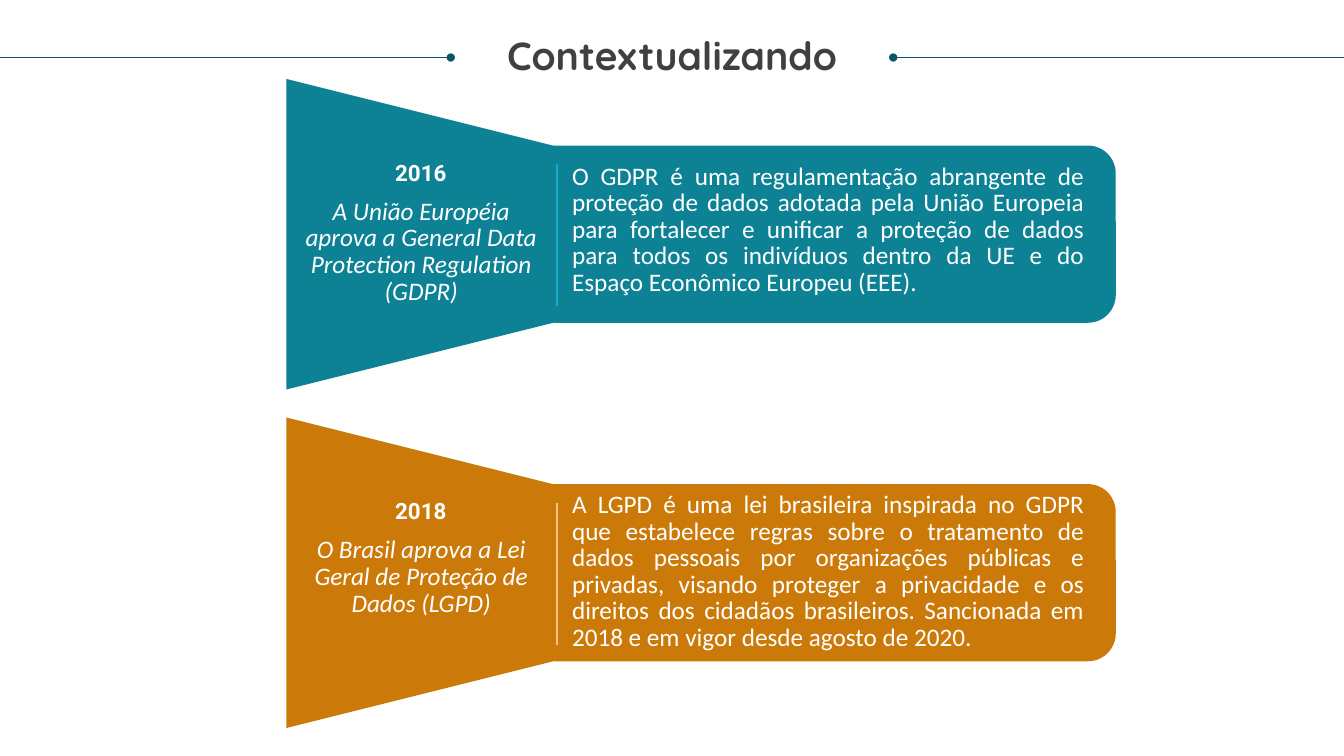
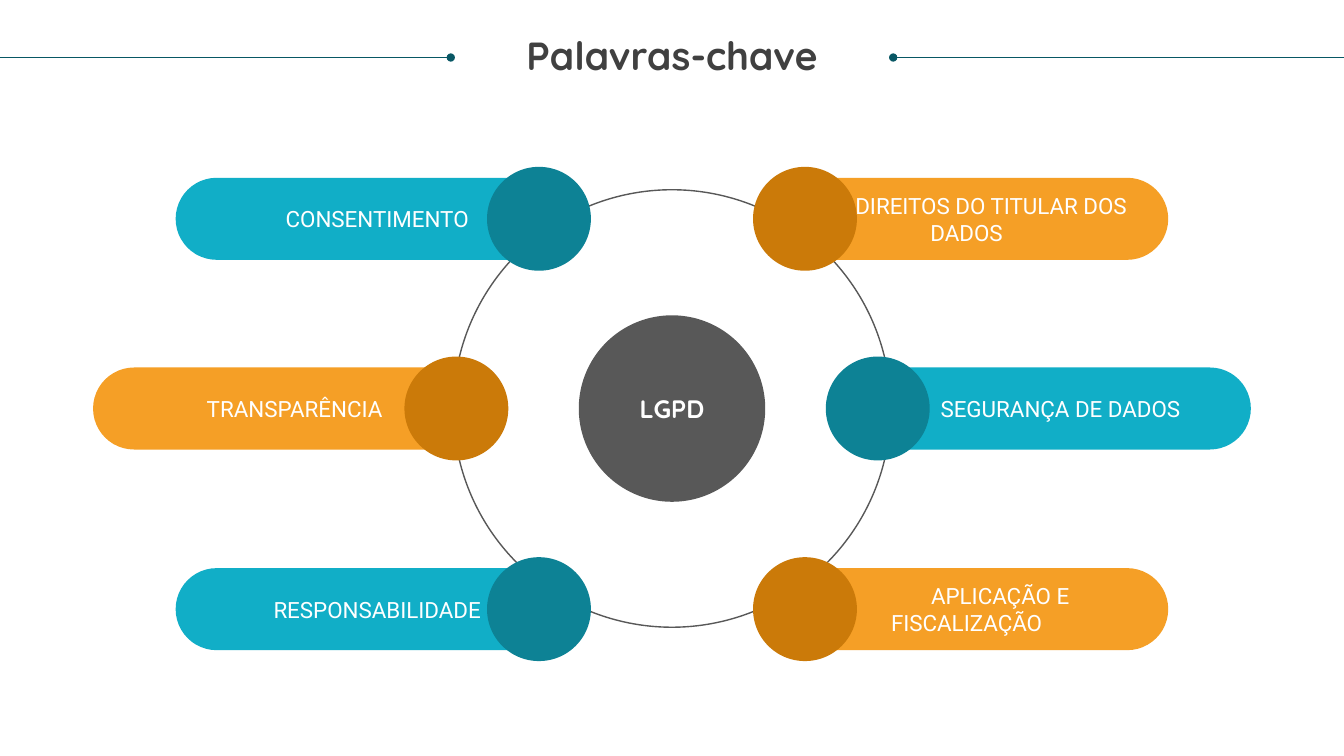
import pptx
import pptx.dml.color
import pptx.enum.shapes
import pptx.enum.text
import pptx.util
from lxml import etree
from pptx.oxml.ns import qn

Pt = pptx.util.Pt
Kind = pptx.enum.shapes.MSO_SHAPE
Align = pptx.enum.text.PP_ALIGN
Anchor = pptx.enum.text.MSO_ANCHOR

WIDE, HIGH = 960, 540
TEAL, AQUA, DEEP = "0D8295", "11AEC7", "085764"
RUST, AMBER, PEACH = "CB7A09", "F59F26", "F9C57D"
WHITE, GREY, INK = "FFFFFF", "585858", "404040"
HEAD, LABEL, BODY = "Quicksand", "Roboto", "Calibri"


def paint(target, tone):
    """Give a fill, line or font colour object a hex colour."""
    target.rgb = pptx.dml.color.RGBColor.from_string(tone)


def write(frame, text, face, size, tone=WHITE, align=Align.CENTER,
          bold=False, slant=False, lead=None, indent=0):
    """Write one paragraph of one run into a text frame."""
    frame.word_wrap = True
    para = frame.paragraphs[0]
    para.alignment = align
    if lead:
        para.line_spacing = lead
    if indent:
        para._p.get_or_add_pPr().set("indent", str(Pt(indent)))
    run = para.add_run()
    run.text = text
    font = run.font
    font.name, font.size, font.bold, font.italic = face, Pt(size), bold, slant
    paint(font.color, tone)


def label(slide, box, text, face, size, **style):
    """Add a text box without insets."""
    frame = slide.shapes.add_textbox(*map(Pt, box)).text_frame
    frame.margin_left = frame.margin_right = 0
    frame.margin_top = frame.margin_bottom = 0
    write(frame, text, face, size, **style)


def shape(slide, kind, box, fill=None, edge=None):
    """Add a flat preset shape, either filled or outlined."""
    item = slide.shapes.add_shape(kind, *map(Pt, box))
    item.shadow.inherit = False
    if fill:
        item.fill.solid()
        paint(item.fill.fore_color, fill)
    else:
        item.fill.background()
    if edge:
        item.line.width = Pt(1)
        paint(item.line.color, edge)
    else:
        item.line.fill.background()
    return item


def disc(slide, x, y, size, fill=None, edge=None):
    """Add a circle around a centre point."""
    box = (x - size / 2, y - size / 2, size, size)
    return shape(slide, Kind.OVAL, box, fill, edge)


def rule(slide, start, end, tone, width, dot=False):
    """Draw a straight line, with an optional dot at its start."""
    line = slide.shapes.add_connector(
        pptx.enum.shapes.MSO_CONNECTOR.STRAIGHT, *map(Pt, start + end))
    line.line.width = Pt(width)
    paint(line.line.color, tone)
    if dot:
        etree.SubElement(line.line._get_or_add_ln(), qn("a:headEnd"), type="oval")
    etree.SubElement(line._element.spPr, qn("a:effectLst"))


def header(slide, box, title):
    """Place the title between two dotted rules."""
    x, y, w, h = box
    mid = y + h / 2
    gap = 158
    for side, end in ((-1, x), (1, x + w)):
        rule(slide, (x + w / 2 + side * gap, mid), (end, mid), DEEP, 0.5, dot=True)
    label(slide, (x + 18, y, w - 36, h), title, HEAD, 28,
          tone=INK, bold=True, lead=0.9)


def funnel(slide, box, year, event, text, drop, fill, accent):
    """Place a dated funnel that opens onto a rounded panel."""
    x, y, w, h = box
    neck = 193
    tall = 126.6
    panel = shape(slide, Kind.ROUNDED_RECTANGLE,
                  (x + 173, y + (h - tall) / 2, w - 173, tall), fill)
    panel.adjustments[0] = 0.157
    cone = shape(slide, Kind.TRAPEZOID,
                 (x + (neck - h) / 2, y + (h - neck) / 2, h, neck), fill)
    cone.rotation = 90
    label(slide, (x + 42, y + 57, 108, 19), year, LABEL, 16, bold=True)
    label(slide, (x + 11, y + 85.6, 170.6, 77), event, BODY, 18,
          slant=True, lead=Pt(19))
    rule(slide, (x + neck, y + 61), (x + neck, y + 162.5), accent, 1.5)
    label(slide, (x + 204, y + drop, 365.8, 115), text, BODY, 18,
          align=Align.JUSTIFY, lead=Pt(19))


def spoke(slide, hub, side, reach, edge, rise, text, indent, pair):
    """Place a pill and its dot beside the hub; side is -1 or 1."""
    x, y = hub
    w, h = 288, 58.6
    left = x + edge if side > 0 else x - edge - w
    dark, light = pair
    pill = shape(slide, Kind.ROUNDED_RECTANGLE, (left, y + rise - h / 2, w, h), light)
    pill.adjustments[0] = 0.5
    pill.text_frame.vertical_anchor = Anchor.MIDDLE
    write(pill.text_frame, text, LABEL, 16, indent=indent)
    disc(slide, x + side * reach, y + rise, 74.2, dark)


def wheel(slide, box, core, spokes):
    """Place a ring with a core disc and its spokes."""
    x, y, w, h = box
    hub = (x + w / 2, y + h / 2)
    disc(slide, *hub, w, edge=GREY)
    heart = disc(slide, *hub, 133.2, GREY)
    heart.text_frame.vertical_anchor = Anchor.MIDDLE
    write(heart.text_frame, core, HEAD, 18, bold=True)
    for item in spokes:
        spoke(slide, hub, *item)


def main():
    """Build and save the slides."""
    deck = pptx.Presentation()
    deck.slide_width, deck.slide_height = Pt(WIDE), Pt(HIGH)

    def page(title):
        """Add a blank slide with the shared header."""
        slide = deck.slides.add_slide(deck.slide_layouts[6])
        header(slide, (0, 26, WIDE, 30.2), title)
        return slide

    events = (
        ("2016", "A União Européia aprova a General Data Protection Regulation (GDPR)",
         "O GDPR é uma regulamentação abrangente de proteção de dados adotada pela "
         "União Europeia para fortalecer e unificar a proteção de dados para todos os "
         "indivíduos dentro da UE e do Espaço Econômico Europeu (EEE).",
         60.4, TEAL, AQUA),
        ("2018", "O Brasil aprova a Lei Geral de Proteção de Dados (LGPD)",
         "A LGPD é uma lei brasileira inspirada no GDPR que estabelece regras sobre o "
         "tratamento de dados pessoais por organizações públicas e privadas, visando "
         "proteger a privacidade e os direitos dos cidadãos brasileiros. Sancionada em "
         "2018 e em vigor desde agosto de 2020.",
         53.3, RUST, PEACH),
    )
    slide = page("Contextualizando")
    for row, event in enumerate(events):
        funnel(slide, (204.6, 56.4 + row * 241.8, 592.4, 221.8), *event)

    cool, warm = (TEAL, AQUA), (RUST, AMBER)
    spokes = (
        (1, 95, 66.5, -135.5, "DIREITOS DO TITULAR DOS DADOS", 35, warm),
        (1, 147, 125.5, 0, "SEGURANÇA DE DADOS", 16, cool),
        (1, 95, 66.5, 143.3, "APLICAÇÃO E FISCALIZAÇÃO", 48, warm),
        (-1, 95, 66.5, -135.5, "CONSENTIMENTO", 0, cool),
        (-1, 154, 125.5, 0, "TRANSPARÊNCIA", 0, warm),
        (-1, 95, 66.5, 143.3, "RESPONSABILIDADE", 0, cool),
    )
    wheel(page("Palavras-chave"), (323.75, 135.55, 312.5, 312.5), "LGPD", spokes)
    deck.save("out.pptx")


if __name__ == "__main__":
    main()
